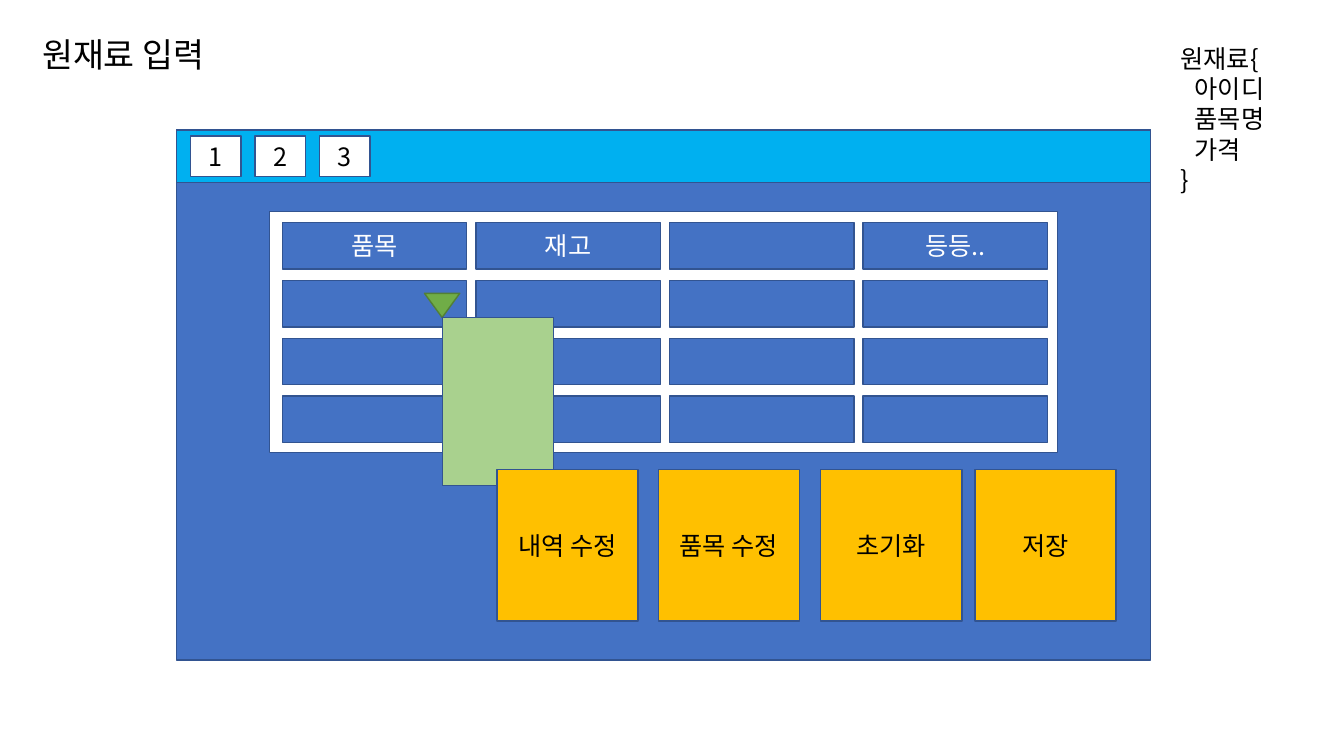
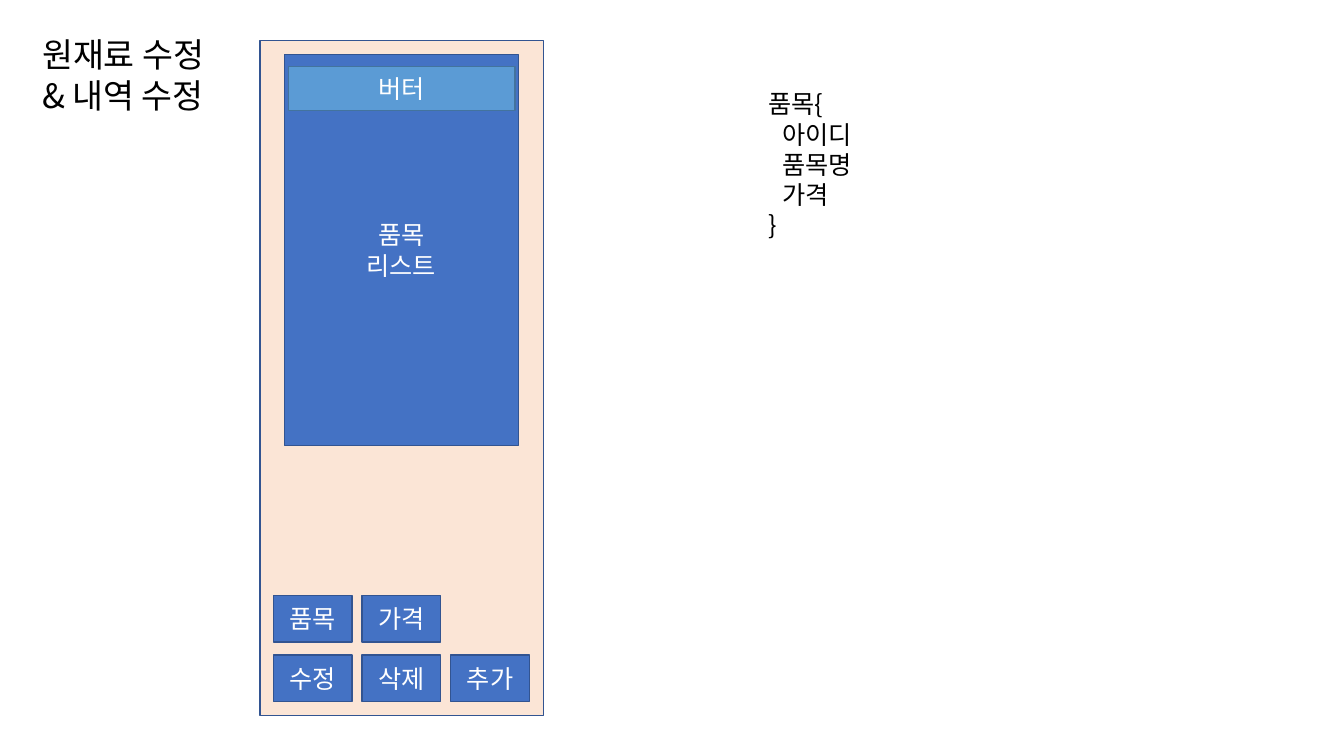
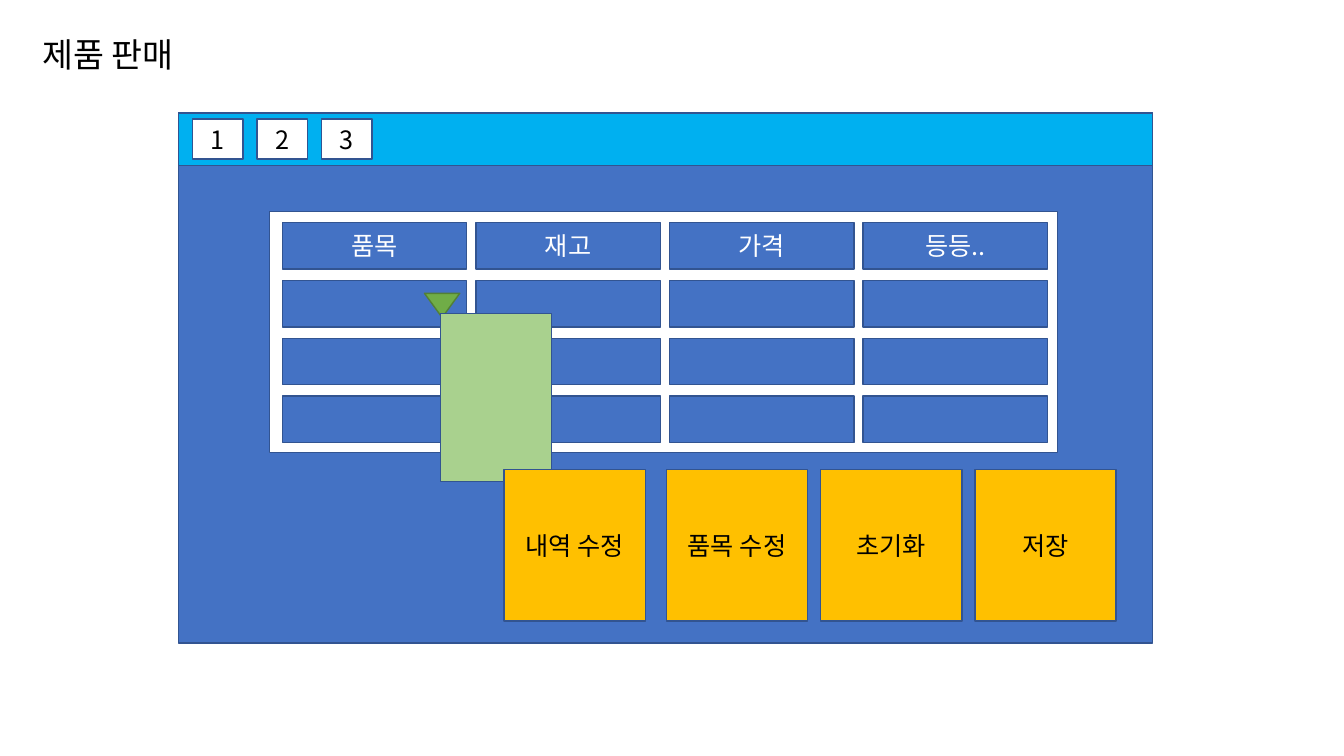
from lxml.etree import SubElement
from pptx import Presentation
from pptx.dml.color import RGBColor
from pptx.enum.shapes import MSO_SHAPE as Preset
from pptx.enum.text import MSO_ANCHOR as Anchor, MSO_AUTO_SIZE as AutoSize, PP_ALIGN as Align
from pptx.oxml.ns import qn
from pptx.util import Inches, Pt

FONT = "Noto Sans CJK KR"
COLORS = {
    "blue": "4472C4", "outline": "325491", "sky": "00B0F0", "light blue": "5B9BD5",
    "light blue outline": "43739E", "white": "FFFFFF", "black": "000000",
    "amber": "FFC000", "peach": "FBE5D6", "green": "70AD47",
    "green outline": "538035", "light green": "A9D18E",
}


def write_text(shape, text, size=18, color="black", alignment=Align.LEFT):
    shape.text_frame.word_wrap = True
    shape.text_frame.text = text
    for paragraph in shape.text_frame.paragraphs:
        paragraph.alignment = alignment
        for run in paragraph.runs:
            run.font.size = Pt(size)
            run.font.name = FONT
            run.font.color.rgb = RGBColor.from_string(COLORS[color])
            SubElement(run.font._element, qn("a:ea"), typeface=FONT)


def add_box(slide, left, top, width, height, fill, text="", color="white",
            line="outline", preset=Preset.RECTANGLE):
    shape = slide.shapes.add_shape(
        preset, Inches(left), Inches(top), Inches(width), Inches(height))
    shape.shadow.inherit = False
    shape.fill.solid()
    shape.fill.fore_color.rgb = RGBColor.from_string(COLORS[fill])
    shape.line.color.rgb = RGBColor.from_string(COLORS[line])
    shape.line.width = Pt(1)
    if text:
        shape.text_frame.vertical_anchor = Anchor.MIDDLE
        write_text(shape, text, color=color, alignment=Align.CENTER)
    return shape


presentation = Presentation()
presentation.slide_width, presentation.slide_height = Inches(13.33), Inches(7.5)
blank_layout = presentation.slide_layouts[6]

# Slides with their titles
slides = []
for title, width, height in [("원재료 입력", 2.07, 0.5),
                             ("원재료 수정\n& 내역 수정", 1.94, 1.31),
                             ("제품 판매", 1.94, 0.5)]:
    slide = presentation.slides.add_slide(blank_layout)
    title_box = slide.shapes.add_textbox(
        Inches(0.32), Inches(0.29), Inches(width), Inches(height))
    write_text(title_box, title, size=24)
    title_box.text_frame.auto_size = AutoSize.SHAPE_TO_FIT_TEXT
    slides.append(slide)
input_slide, edit_slide, sales_slide = slides

# Table screens: window corner, third heading, drop-down corner, button lefts
screens = [
    (input_slide, 1.75, 1.29, "", 4.39, 3.15, [4.93, 6.53, 8.14, 9.67]),
    (sales_slide, 1.77, 1.12, "가격", 4.37, 3.11, [5, 6.61, 8.14, 9.67]),
]
for slide, left, top, third_heading, list_left, list_top, button_lefts in screens:
    # Window, top bar and tabs
    add_box(slide, left, top, 9.66, 5.26, "blue")
    add_box(slide, left, top, 9.66, 0.52, "sky")
    for tab in range(3):
        add_box(slide, left + 0.14 + 0.64 * tab, top + 0.06, 0.5, 0.4,
                "white", str(tab + 1), "black")

    # Grid of cells, headings in the first row
    add_box(slide, 2.67, 2.1, 7.82, 2.39, "white")
    headings = ["품목", "재고", third_heading, "등등.."]
    row_pitch = (3.93 - 2.21) / 3
    for row in range(4):
        for column, heading in enumerate(headings):
            add_box(slide, 2.8 + 1.92 * column, 2.21 + row_pitch * row, 1.83, 0.46,
                    "blue", heading if row == 0 else "")

    # Drop-down arrow and list
    arrow = add_box(slide, 4.21, 2.91, 0.35, 0.24, "green", line="green outline",
                    preset=Preset.ISOSCELES_TRIANGLE)
    arrow.rotation = 180
    add_box(slide, list_left, list_top, 1.1, 1.67, "light green")

    # Action buttons
    for button_left, label in zip(button_lefts, ["내역 수정", "품목 수정", "초기화", "저장"]):
        add_box(slide, button_left, 4.66, 1.4, 1.5, "amber", label, "black")

# Edit screen: panel, item list and selected item
add_box(edit_slide, 2.58, 0.4, 2.81, 6.7, "peach")
add_box(edit_slide, 2.82, 0.54, 2.32, 3.88, "blue", "품목\n리스트")
add_box(edit_slide, 2.86, 0.66, 2.25, 0.44, "light blue", "버터", line="light blue outline")

# Edit screen: fields above buttons
for top, labels in [(5.91, ["품목", "가격"]), (6.5, ["수정", "삭제", "추가"])]:
    for column, label in enumerate(labels):
        add_box(edit_slide, 2.71 + 0.88 * column, top, 0.78, 0.46, "blue", label)

# Data structures with indented fields
for slide, left, top, width, name in [(input_slide, 11.61, 0.38, 1.62, "원재료"),
                                      (edit_slide, 7.52, 0.83, 2.81, "품목")]:
    structure = slide.shapes.add_textbox(
        Inches(left), Inches(top), Inches(width), Inches(1.62))
    write_text(structure, "\n".join([name + "{", "아이디", "품목명", "가격", "}"]))
    structure.text_frame.auto_size = AutoSize.SHAPE_TO_FIT_TEXT
    for paragraph in structure.text_frame.paragraphs[1:-1]:
        paragraph._p.get_or_add_pPr().set("marL", str(Inches(0.14)))

presentation.save("out.pptx")
